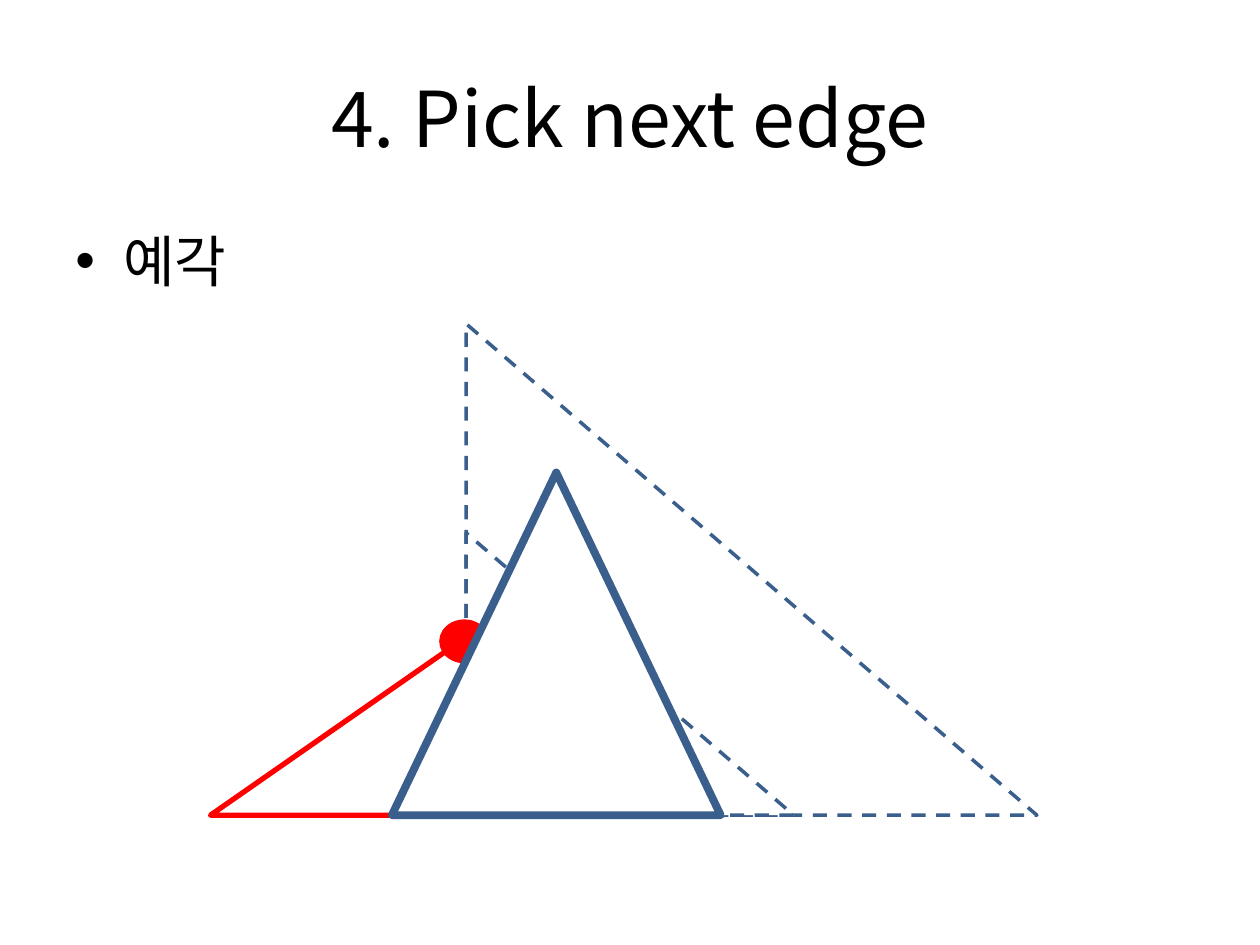
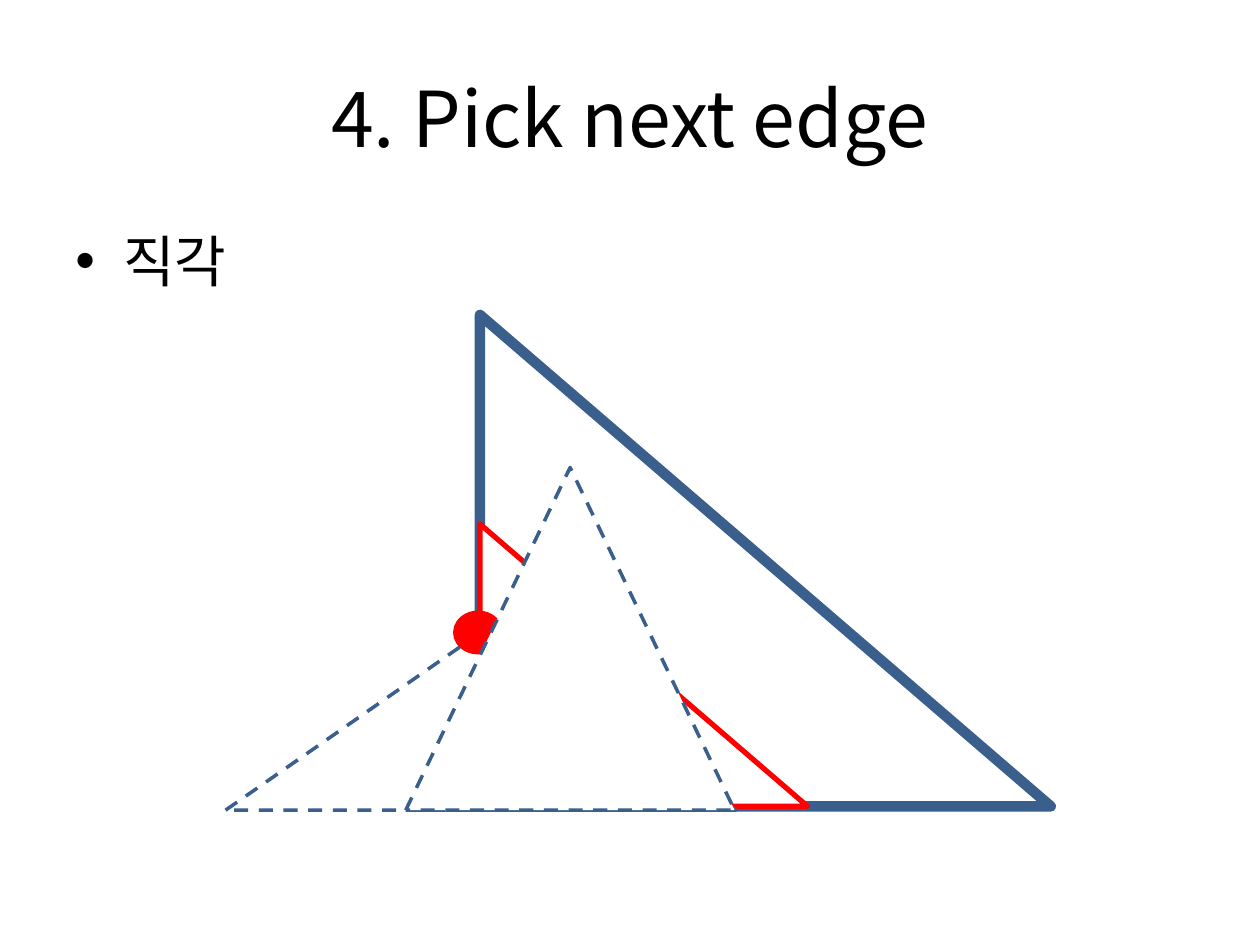
"""Build two slides on picking the next edge around nested triangles."""
from lxml import etree
from pptx import Presentation
from pptx.dml.color import RGBColor
from pptx.enum.dml import MSO_LINE
from pptx.enum.shapes import MSO_SHAPE
from pptx.enum.text import MSO_ANCHOR, PP_ALIGN
from pptx.oxml.ns import qn
from pptx.util import Inches, Pt

FONT = "Noto Sans CJK KR"
BLACK = RGBColor(0x00, 0x00, 0x00)
WHITE = RGBColor(0xFF, 0xFF, 0xFF)
BLUE = RGBColor(0x3A, 0x5F, 0x8C)
RED = RGBColor(0xFF, 0x00, 0x00)
DASH = MSO_LINE.DASH
RIGHT_TRIANGLE = MSO_SHAPE.RIGHT_TRIANGLE
TRIANGLE = MSO_SHAPE.ISOSCELES_TRIANGLE
OVAL = MSO_SHAPE.OVAL
MIDDLE, TOP = MSO_ANCHOR.MIDDLE, MSO_ANCHOR.TOP
CENTER, LEFT = PP_ALIGN.CENTER, PP_ALIGN.LEFT

TITLE = "4. Pick next edge"
TITLE_BOX = (0.5, 0.3, 9, 1.25)
BODY_BOX = (0.5, 1.75, 9, 4.95)
BULLET_INDENT = 0.38

FIGURES = {
    "large right": (RIGHT_TRIANGLE, 4.53, 3.9, WHITE),
    "small right": (RIGHT_TRIANGLE, 2.6, 2.24, WHITE),
    "obtuse": (TRIANGLE, 4.05, 1.41, WHITE),
    "vertex": (OVAL, 0.37, 0.32, RED),
    "acute": (TRIANGLE, 2.61, 2.72, WHITE),
}
DASHED = (BLUE, 2, DASH)
CROSSING = (RED, 3, None)
DOT = (RED, 2, None)

SLIDES = [
    ("예각", [
        ("large right", 3.7, 2.57, DASHED),
        ("small right", 3.7, 4.23, DASHED),
        ("obtuse", 1.67, 5.06, CROSSING),
        ("vertex", 3.5, 4.93, DOT),
        ("acute", 3.11, 3.75, (BLUE, 4.5, None)),
    ]),
    ("직각", [
        ("large right", 3.81, 2.5, (BLUE, 6, None)),
        ("small right", 3.81, 4.16, CROSSING),
        ("obtuse", 1.79, 5.02, DASHED),
        ("vertex", 3.61, 4.86, DOT),
        ("acute", 3.22, 3.71, DASHED),
    ]),
]


def add_text(page, text, place, size, align=LEFT, anchor=TOP, bullet=False):
    box = page.shapes.add_textbox(*map(Inches, place))
    frame = box.text_frame
    frame.word_wrap = True
    frame.vertical_anchor = anchor
    para = frame.paragraphs[0]
    para.alignment = align
    span = para.add_run()
    span.text = text
    span.font.name = FONT
    span.font.size = Pt(size)
    span.font.color.rgb = BLACK
    etree.SubElement(span.font._element, qn("a:ea"), typeface=FONT)
    if bullet:
        para.space_before = Pt(size * 0.2)
        properties = para._p.get_or_add_pPr()
        properties.set("marL", str(Inches(BULLET_INDENT)))
        properties.set("indent", str(-Inches(BULLET_INDENT)))
        etree.SubElement(properties, qn("a:buFont"), typeface="Arial")
        etree.SubElement(properties, qn("a:buChar"), char="•")


def add_figure(page, name, left, top, outline):
    kind, width, height, fill = FIGURES[name]
    color, weight, dash = outline
    shape = page.shapes.add_shape(kind, *map(Inches, (left, top, width, height)))
    shape.shadow.inherit = False
    shape.fill.solid()
    shape.fill.fore_color.rgb = fill
    shape.line.color.rgb = color
    shape.line.width = Pt(weight)
    if dash:
        shape.line.dash_style = dash


def main():
    deck = Presentation()
    deck.slide_width, deck.slide_height = Inches(10), Inches(7.5)
    blank = deck.slide_layouts[6]
    for angle, figures in SLIDES:
        page = deck.slides.add_slide(blank)
        add_text(page, TITLE, TITLE_BOX, 44, align=CENTER, anchor=MIDDLE)
        add_text(page, angle, BODY_BOX, 32, bullet=True)
        for figure in figures:
            add_figure(page, *figure)
    deck.save("out.pptx")


if __name__ == "__main__":
    main()
